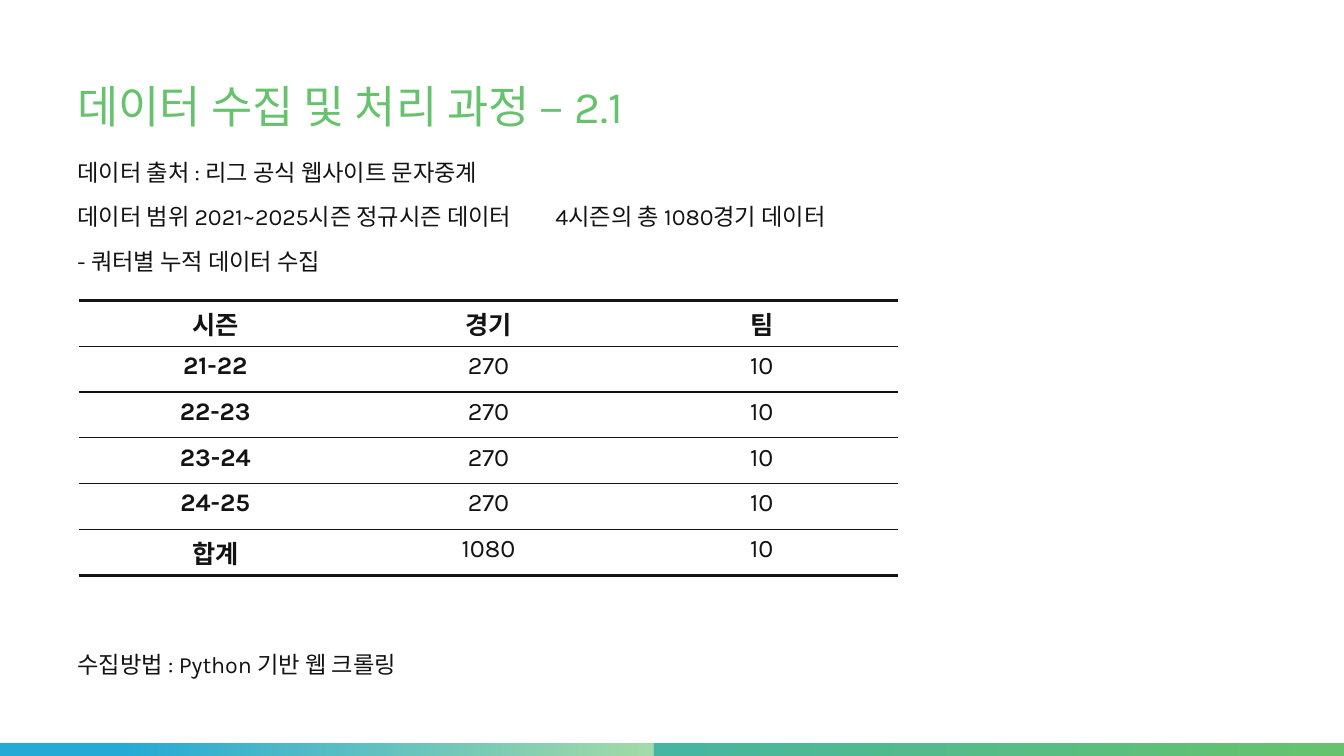
from dataclasses import dataclass

from lxml import etree
from pptx import Presentation
from pptx.dml.color import RGBColor
from pptx.enum.shapes import MSO_SHAPE
from pptx.enum.text import MSO_ANCHOR, PP_ALIGN
from pptx.oxml.ns import qn
from pptx.slide import Slide
from pptx.table import _Cell
from pptx.util import Inches, Pt

RECTANGLE = MSO_SHAPE.RECTANGLE
TOP, BOTTOM = MSO_ANCHOR.TOP, MSO_ANCHOR.BOTTOM
CENTER = PP_ALIGN.CENTER


@dataclass(frozen=True)
class Theme:
    font: str = "Karla"
    ink: str = "131313"
    paper: str = "FFFFFF"
    green: str = "66C26C"
    pale_green: str = "A3DAA7"
    teal: str = "46B6A0"
    blue: str = "25AAD5"
    title_size: float = 32
    body_size: float = 16.6
    table_size: float = 18
    thin_line: float = 1
    thick_line: float = 2.25


@dataclass(frozen=True)
class TextBlock:
    top: float
    height: float
    lines: tuple[str, ...]
    size: float
    color: str
    line_spacing: float
    anchor: MSO_ANCHOR = TOP


@dataclass(frozen=True)
class FooterBar:
    left: float
    width: float
    start_color: str
    end_color: str
    start_position: float


THEME = Theme()
PAGE_WIDTH, PAGE_HEIGHT = 13.33, 7.5
TEXT_LEFT, TEXT_WIDTH = 0.67, 11.98
PARAGRAPH_GAP = 10
TAB_POSITION = 4.74
BAR_HEIGHT = 0.13
BAR_SPLIT = 6.48
TABLE_LEFT, TABLE_TOP = 0.78, 2.98
COLUMN_WIDTH, ROW_HEIGHT = 2.71, 0.455

TEXT_BLOCKS = (
    TextBlock(0.5, 0.87, ("데이터 수집 및 처리 과정 – 2.1",),
              THEME.title_size, THEME.green, 0.9, BOTTOM),
    TextBlock(1.49, 1.4, (
        "데이터 출처 : 리그 공식 웹사이트 문자중계",
        "데이터 범위 2021~2025시즌 정규시즌 데이터\t4시즌의 총 1080경기 데이터",
        "- 쿼터별 누적 데이터 수집",
    ), THEME.body_size, THEME.ink, 1.1),
    TextBlock(6.37, 0.5, ("수집방법 : Python 기반 웹 크롤링",),
              THEME.body_size, THEME.ink, 1.1),
)

FOOTER_BARS = (
    FooterBar(0, BAR_SPLIT, THEME.blue, THEME.pale_green, 0.19),
    FooterBar(BAR_SPLIT, PAGE_WIDTH - BAR_SPLIT, THEME.teal, THEME.green, 0),
)

SEASONS = ("21-22", "22-23", "23-24", "24-25")
TABLE_ROWS = (
    ("시즌", "경기", "팀"),
    *((season, "270", "10") for season in SEASONS),
    ("합계", "1080", "10"),
)


def rgb(color: str) -> RGBColor:
    return RGBColor.from_string(color)


def add_tab_stop(para, position: float) -> None:
    tabs = etree.SubElement(para._p.get_or_add_pPr(), qn("a:tabLst"))
    etree.SubElement(tabs, qn("a:tab"), pos=str(Inches(position)), algn="l")


def style_font(para, size: float, color: str, bold: bool = False) -> None:
    para.font.name = THEME.font
    para.font.size = Pt(size)
    para.font.bold = bold
    para.font.color.rgb = rgb(color)


def draw_text(page: Slide, block: TextBlock) -> None:
    box = page.shapes.add_textbox(Inches(TEXT_LEFT), Inches(block.top),
                                  Inches(TEXT_WIDTH), Inches(block.height))
    frame = box.text_frame
    frame.word_wrap = True
    frame.vertical_anchor = block.anchor
    for index, line in enumerate(block.lines):
        para = frame.add_paragraph() if index else frame.paragraphs[0]
        para.text = line
        para.line_spacing = block.line_spacing
        if index:
            para.space_before = Pt(PARAGRAPH_GAP)
        if "\t" in line:
            add_tab_stop(para, TAB_POSITION)
        style_font(para, block.size, block.color)


def draw_footer_bar(page: Slide, bar: FooterBar) -> None:
    shape = page.shapes.add_shape(RECTANGLE, Inches(bar.left), Inches(PAGE_HEIGHT - BAR_HEIGHT),
                                  Inches(bar.width), Inches(BAR_HEIGHT))
    shape.shadow.inherit = False
    shape.line.fill.background()
    shape.fill.gradient()
    shape.fill.gradient_angle = 0
    start, end = shape.fill.gradient_stops
    start.color.rgb, start.position = rgb(bar.start_color), bar.start_position
    end.color.rgb, end.position = rgb(bar.end_color), 1


def set_borders(cell: _Cell, top: float, bottom: float) -> None:
    properties = cell._tc.get_or_add_tcPr()
    widths = {"a:lnL": 0, "a:lnR": 0, "a:lnT": top, "a:lnB": bottom}
    for tag, width in widths.items():
        line = etree.SubElement(properties, qn(tag), w=str(Pt(width)))
        if width:
            fill = etree.SubElement(line, qn("a:solidFill"))
            etree.SubElement(fill, qn("a:srgbClr"), val=THEME.ink)
        else:
            etree.SubElement(line, qn("a:noFill"))


def draw_table(page: Slide, rows: tuple[tuple[str, ...], ...]) -> None:
    row_count, column_count = len(rows), len(rows[0])
    table = page.shapes.add_table(
        row_count, column_count, Inches(TABLE_LEFT), Inches(TABLE_TOP),
        Inches(COLUMN_WIDTH * column_count), Inches(ROW_HEIGHT * row_count)).table
    table.horz_banding = False
    for column in table.columns:
        column.width = Inches(COLUMN_WIDTH)
    for row_index, values in enumerate(rows):
        table.rows[row_index].height = Inches(ROW_HEIGHT)
        is_header = row_index == 0
        is_total = row_index == row_count - 1
        for column_index, value in enumerate(values):
            cell = table.cell(row_index, column_index)
            # Borders come before the fill in the cell properties
            set_borders(cell, THEME.thick_line if is_header else THEME.thin_line,
                        THEME.thick_line if is_total else THEME.thin_line)
            cell.fill.solid()
            cell.fill.fore_color.rgb = rgb(THEME.paper)
            para = cell.text_frame.paragraphs[0]
            para.text = value
            para.alignment = CENTER
            style_font(para, THEME.table_size, THEME.ink, is_header or column_index == 0)


def main() -> None:
    deck = Presentation()
    deck.slide_width, deck.slide_height = Inches(PAGE_WIDTH), Inches(PAGE_HEIGHT)
    page = deck.slides.add_slide(deck.slide_layouts[6])

    # Footer band
    for bar in FOOTER_BARS:
        draw_footer_bar(page, bar)

    # Title and body text
    for block in TEXT_BLOCKS:
        draw_text(page, block)

    # Games and teams per season
    draw_table(page, TABLE_ROWS)

    deck.save("out.pptx")


if __name__ == "__main__":
    main()
